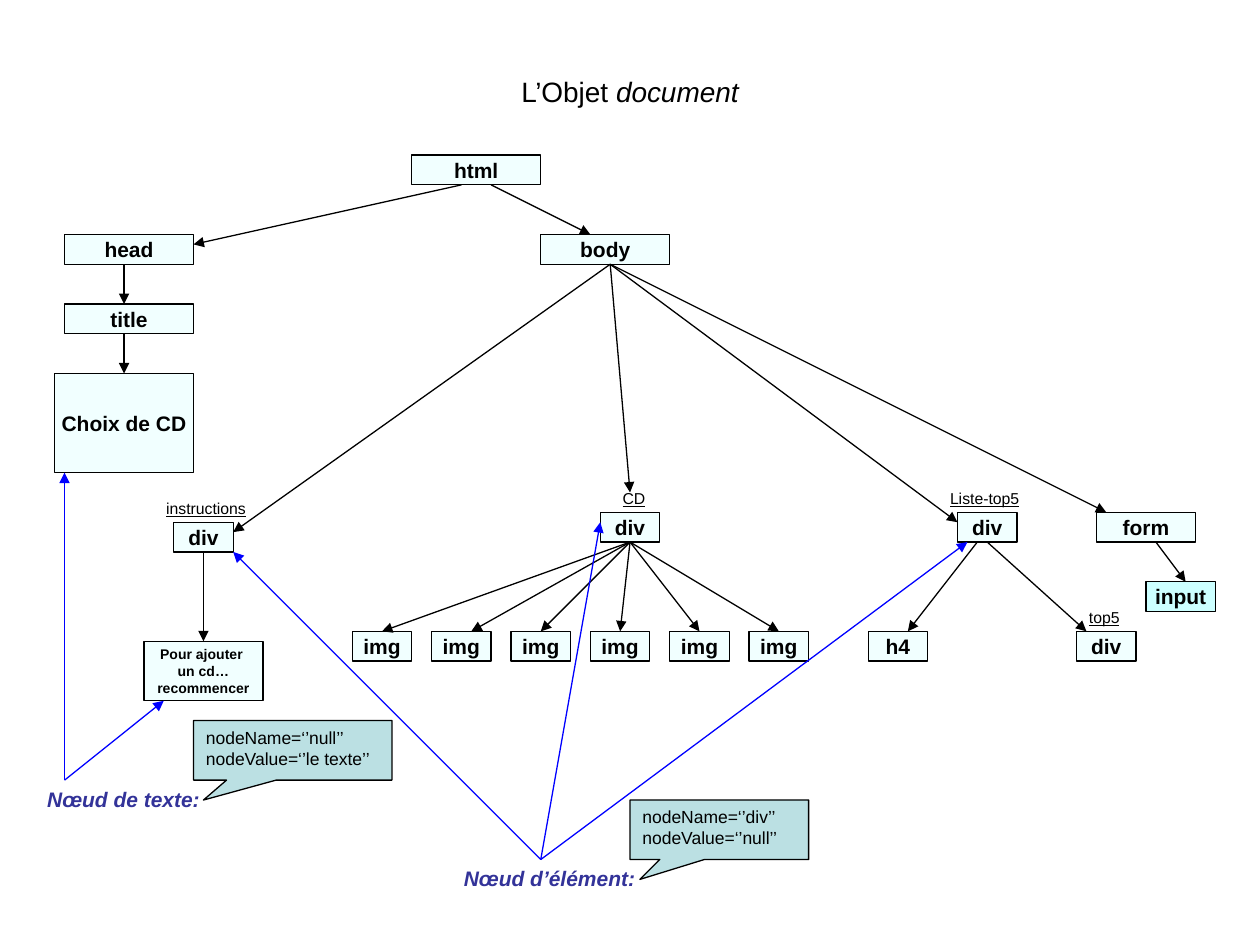
"""Builds a slide showing the DOM tree of an HTML document."""
from lxml import etree
from pptx import Presentation
from pptx.dml.color import RGBColor
from pptx.enum.shapes import MSO_CONNECTOR, MSO_SHAPE
from pptx.enum.text import MSO_ANCHOR, MSO_AUTO_SIZE, PP_ALIGN
from pptx.oxml.ns import qn
from pptx.util import Inches, Pt

STRAIGHT = MSO_CONNECTOR.STRAIGHT
RECTANGLE, CALLOUT = MSO_SHAPE.RECTANGLE, MSO_SHAPE.RECTANGULAR_CALLOUT
MIDDLE, TOP = MSO_ANCHOR.MIDDLE, MSO_ANCHOR.TOP
CENTER, LEFT = PP_ALIGN.CENTER, PP_ALIGN.LEFT
GROW = MSO_AUTO_SIZE.SHAPE_TO_FIT_TEXT

BLACK, BLUE, INDIGO = "000000", "0000FF", "333399"
CYAN, TEAL = "CCFFFF", "BBE0E3"

deck = Presentation()
deck.slide_width, deck.slide_height = Inches(10), Inches(7.5)
slide = deck.slides.add_slide(deck.slide_layouts[5])
shapes = slide.shapes
CELL = deck.slide_width / 127
MARGIN_X, MARGIN_Y = Inches(0.04), Inches(0.05)


def grid(col, row, *size):
    """Turns grid columns and rows into slide lengths."""
    corner = [round(MARGIN_X + col * CELL), round(MARGIN_Y + row * CELL)]
    return corner + [round(cells * CELL) for cells in size]


def write(frame, lines, size, color=BLACK, align=LEFT, before=0, **style):
    """Fills a text frame with one paragraph per line."""
    for index, line in enumerate(lines):
        paragraph = frame.add_paragraph() if index else frame.paragraphs[0]
        paragraph.alignment, paragraph.space_before = align, Pt(before)
        run = paragraph.add_run()
        run.text = line
        font = run.font
        font.name, font.size = "Arial", Pt(size)
        font.color.rgb = RGBColor.from_string(color)
        for name, value in style.items():
            setattr(font, name, value)


heading = shapes.title
heading.left, heading.top = Inches(0.5), Inches(0.3)
heading.width, heading.height = Inches(9), Inches(0.85)
heading.text_frame.vertical_anchor = MIDDLE
write(heading.text_frame, ["L’Objet "], 16, align=CENTER)
emphasis = heading.text_frame.paragraphs[0].add_run()
emphasis.text = "document"
emphasis.font.name, emphasis.font.size, emphasis.font.italic = "Arial", Pt(16), True
emphasis.font.color.rgb = RGBColor.from_string(BLACK)

nodes = [
    ("html", 41, 15, 13, 3),
    ("head", 6, 23, 13, 3),
    ("title", 6, 30, 13, 3),
    ("Choix de CD", 5, 37, 14, 10),
    ("body", 54, 23, 13, 3),
    ("form", 110, 51, 10, 3),
    ("Pour ajouter \nun cd…\nrecommencer", 14, 64, 12, 6),
    ("div", 17, 52, 6, 3),
    ("div", 60, 51, 6, 3),
    ("div", 96, 51, 6, 3),
    ("h4", 87, 63, 6, 3),
    ("div", 108, 63, 6, 3),
    ("input", 115, 58, 7, 3),
] + [("img", 35 + 8 * index, 63, 6, 3) for index in range(6)]

side_middles = {}
for label, col, row, width, height in nodes:
    node = shapes.add_shape(RECTANGLE, *grid(col, row, width, height))
    node.shadow.inherit = False
    node.fill.solid()
    node.fill.fore_color.rgb = RGBColor.from_string(CYAN)
    if label != "input":
        tint = node.fill._xPr.find(qn("a:solidFill"))[0]
        etree.SubElement(tint, qn("a:alpha"), val="26000")
    node.line.color.rgb = RGBColor.from_string(BLACK)
    node.line.width = Pt(0.75)
    node.text_frame.word_wrap = False
    node.text_frame.vertical_anchor = MIDDLE
    lines = label.split("\n")
    write(node.text_frame, lines, 8 if len(lines) > 1 else 12, align=CENTER, bold=True)
    middles = [(col + width / 2, row), (col, row + height / 2),
               (col + width / 2, row + height), (col + width, row + height / 2)]
    side_middles.update({point: (node, side) for side, point in enumerate(middles)})

id_style = dict(size=9, before=5.6, underline=True)
legend_style = dict(size=12, color=INDIGO, before=7.5, bold=True, italic=True)
for caption, col, row, width, height, style in [
    ("instructions", 15, 49, 11, 3.2, id_style),
    ("CD", 61, 48, 6, 3.2, id_style),
    ("Liste-top5", 94, 48, 11, 3.2, id_style),
    ("top5", 108, 60, 7, 3.2, id_style),
    ("Nœud d’élément:", 45, 86, 20, 3.8, legend_style),
    ("Nœud de texte:", 3, 78, 20, 3.8, legend_style),
]:
    frame = shapes.add_textbox(*grid(col, row, width, height)).text_frame
    frame.word_wrap, frame.auto_size = True, GROW
    write(frame, [caption], **style)

for color, start, ends in [
    (BLACK, (46, 18), [(19, 24)]),
    (BLACK, (49, 18), [(59, 23)]),
    (BLACK, (61, 26), [(23, 53), (111, 51), (96, 52), (63, 49)]),
    (BLACK, (12, 26), [(12, 30)]),
    (BLACK, (12, 33), [(12, 37)]),
    (BLACK, (20, 55), [(20, 64)]),
    (BLACK, (99, 54), [(109, 63)]),
    (BLACK, (98, 54), [(91, 63)]),
    (BLACK, (63, 54), [(col, 63) for col in (38, 47, 54, 62, 70, 78)]),
    (BLACK, (116, 54), [(119, 58)]),
    (BLUE, (54, 86), [(23, 55), (60, 52), (97, 54)]),
    (BLUE, (6, 78), [(6, 47), (16, 70)]),
]:
    for end in ends:
        arrow = shapes.add_connector(STRAIGHT, *grid(*start), *grid(*end))
        arrow.line.color.rgb = RGBColor.from_string(color)
        arrow.line.width = Pt(0.75)
        etree.SubElement(arrow.line._ln, qn("a:tailEnd"), type="triangle")
        etree.SubElement(arrow._element.spPr, qn("a:effectLst"))
        if start in side_middles:
            arrow.begin_connect(*side_middles[start])
        if end in side_middles:
            arrow.end_connect(*side_middles[end])

for name, value, col, row, width, tip in [
    ("div", "null", 63, 80, 18, -0.445),
    ("null", "le texte", 19, 72, 20, -0.45),
]:
    bubble = shapes.add_shape(CALLOUT, *grid(col, row, width, 6))
    bubble.adjustments[0], bubble.adjustments[1] = tip, 0.835
    bubble.shadow.inherit = False
    bubble.fill.solid()
    bubble.fill.fore_color.rgb = RGBColor.from_string(TEAL)
    bubble.line.color.rgb = RGBColor.from_string(BLACK)
    bubble.line.width = Pt(0.75)
    bubble.text_frame.word_wrap = True
    bubble.text_frame.vertical_anchor = TOP
    write(bubble.text_frame, [f"nodeName=‘’{name}’’", f"nodeValue=‘’{value}’’"], 10)

deck.save("out.pptx")
